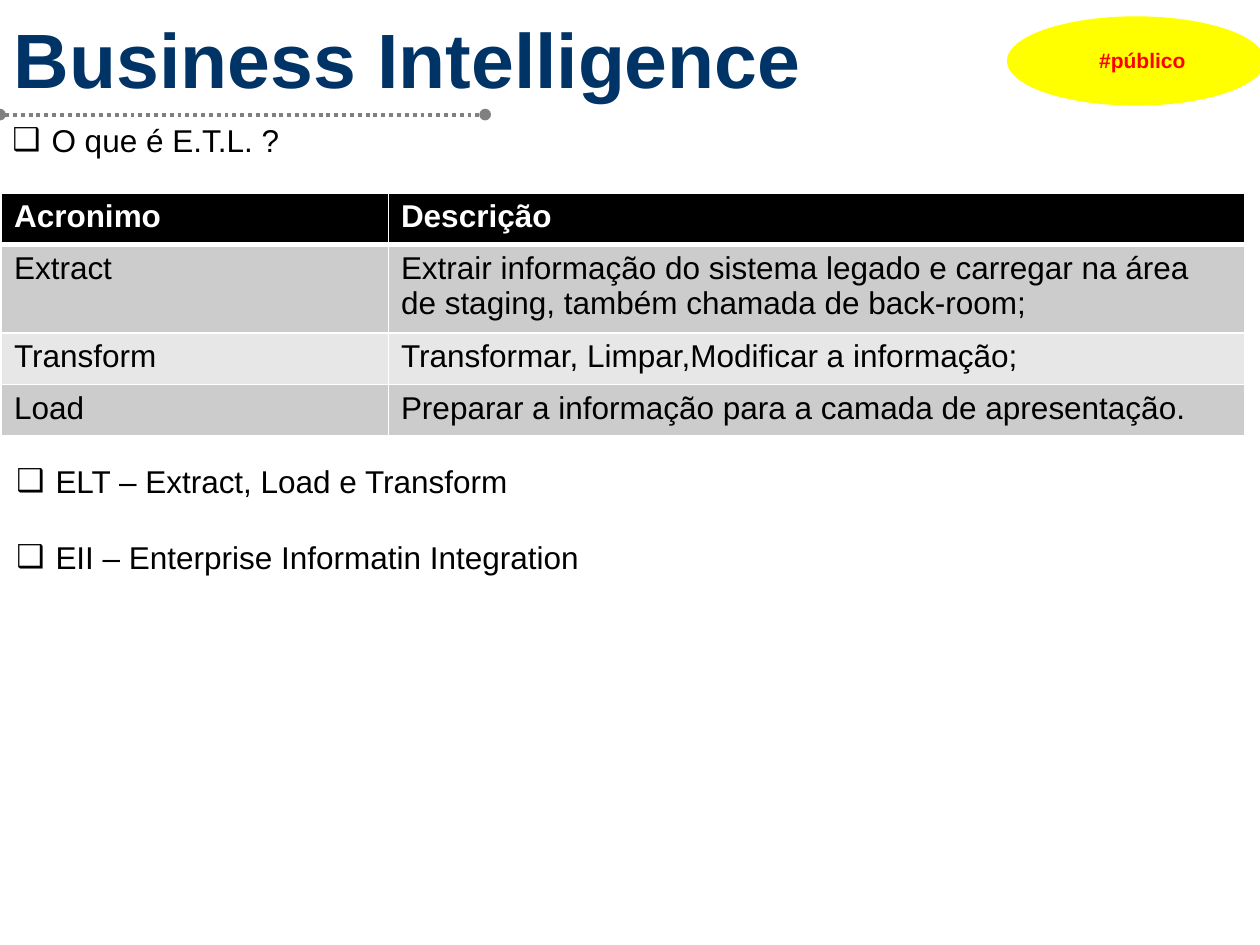
import pptx
import pptx.util
import pptx.dml.color
import pptx.enum.dml
import pptx.enum.shapes
import pptx.enum.text
import pptx.oxml.ns
from lxml import etree

Cm = pptx.util.Cm
Pt = pptx.util.Pt
RGBColor = pptx.dml.color.RGBColor

NAVY = RGBColor(0x00, 0x33, 0x66)
GREY = RGBColor(0x80, 0x80, 0x80)
YELLOW = RGBColor(0xFF, 0xFF, 0x00)
RED = RGBColor(0xFF, 0x00, 0x00)
BLACK = RGBColor(0x00, 0x00, 0x00)
WHITE = RGBColor(0xFF, 0xFF, 0xFF)
DARK_BAND = RGBColor(0xCC, 0xCC, 0xCC)
LIGHT_BAND = RGBColor(0xE7, 0xE7, 0xE7)

FONT = "Arial"
BODY_SIZE = 18

ROWS = [
    ("Acronimo", "Descrição"),
    ("Extract", "Extrair informação do sistema legado e carregar na área de "
                "staging, também chamada de back-room;"),
    ("Transform", "Transformar, Limpar,Modificar a informação;"),
    ("Load", "Preparar a informação para a camada de apresentação."),
]
COLUMN_WIDTHS = (7.8, 17.27)
ROW_HEIGHTS = (1.04, 1.76, 1.04, 1.04)


def add_child(parent, tag, **attributes):
    return etree.SubElement(parent, pptx.oxml.ns.qn(tag), attributes)


def add_span(para, text, size=BODY_SIZE, color=BLACK, bold=False):
    span = para.add_run()
    span.text = text
    span.font.name = FONT
    span.font.size = Pt(size)
    span.font.bold = bold
    span.font.color.rgb = color


def add_box(shapes, left, top, width, height):
    box = shapes.add_textbox(Cm(left), Cm(top), Cm(width), Cm(height))
    box.text_frame.word_wrap = True
    return box.text_frame


def add_title(page, text):
    frame = add_box(page.shapes, 0.03, 0, 25.37, 2.31)
    frame.vertical_anchor = pptx.enum.text.MSO_ANCHOR.MIDDLE
    add_span(frame.paragraphs[0], text, 44, NAVY, True)


def add_dotted_rule(page, top, length):
    rule = page.shapes.add_connector(
        pptx.enum.shapes.MSO_CONNECTOR.STRAIGHT,
        Cm(0), Cm(top), Cm(length), Cm(top))
    rule.line.color.rgb = GREY
    rule.line.width = Pt(2.25)
    rule.line.dash_style = pptx.enum.dml.MSO_LINE.ROUND_DOT
    properties = rule.line._get_or_add_ln()
    for end in ("a:headEnd", "a:tailEnd"):
        add_child(properties, end, type="oval")
    add_child(rule._element.spPr, "a:effectLst")


def add_badge(page, text):
    group = page.shapes.add_group_shape()
    ellipse = group.shapes.add_shape(
        pptx.enum.shapes.MSO_SHAPE.OVAL,
        Cm(20.3), Cm(0.33), Cm(5.2), Cm(1.8))
    ellipse.shadow.inherit = False
    ellipse.fill.solid()
    ellipse.fill.fore_color.rgb = YELLOW
    ellipse.line.fill.background()
    para = add_box(group.shapes, 20.4, 0.74, 5.26, 0.81).paragraphs[0]
    para.alignment = pptx.enum.text.PP_ALIGN.CENTER
    para.line_spacing = 1.2
    add_span(para, text, 12, RED, True)


def add_bullets(page, left, top, width, height, items):
    frame = add_box(page.shapes, left, top, width, height)
    for index, item in enumerate(items):
        para = frame.add_paragraph() if index else frame.paragraphs[0]
        properties = para._p.get_or_add_pPr()
        indent = Cm(0.79)
        properties.set("marL", str(indent))
        properties.set("indent", str(-indent))
        add_child(properties, "a:buFont", typeface=FONT)
        add_child(properties, "a:buChar", char="❑")
        if index:
            para.space_before = Pt(21.6)
        add_span(para, item)


def set_borders(cell, bottom_width):
    properties = cell._tc.get_or_add_tcPr()
    widths = {"a:lnL": 1, "a:lnR": 1, "a:lnT": 1, "a:lnB": bottom_width}
    for tag, width in widths.items():
        border = add_child(properties, tag, w=str(Pt(width)))
        add_child(add_child(border, "a:solidFill"), "a:srgbClr", val=str(WHITE))


def add_glossary(page):
    table = page.shapes.add_table(
        len(ROWS), len(COLUMN_WIDTHS), Cm(0.03), Cm(3.89),
        Cm(sum(COLUMN_WIDTHS)), Cm(sum(ROW_HEIGHTS))).table
    for column, width in zip(table.columns, COLUMN_WIDTHS):
        column.width = Cm(width)
    for index, (row, height, texts) in enumerate(
            zip(table.rows, ROW_HEIGHTS, ROWS)):
        row.height = Cm(height)
        header = index == 0
        band = DARK_BAND if index % 2 else LIGHT_BAND
        for cell, text in zip(row.cells, texts):
            set_borders(cell, 3 if header else 1)
            cell.fill.solid()
            cell.fill.fore_color.rgb = BLACK if header else band
            add_span(cell.text_frame.paragraphs[0], text,
                     color=WHITE if header else BLACK, bold=header)


def main():
    deck = pptx.Presentation()
    deck.slide_width, deck.slide_height = Cm(25.4), Cm(19.05)
    page = deck.slides.add_slide(deck.slide_layouts[6])
    add_title(page, "Business Intelligence")
    add_dotted_rule(page, 2.31, 9.78)
    add_badge(page, "#público")
    add_bullets(page, 0, 2.31, 25.4, 1.02, ["O que é E.T.L. ?"])
    add_glossary(page)
    add_bullets(page, 0.08, 9.19, 14.4, 2.57, [
        "ELT – Extract, Load e Transform",
        "EII – Enterprise Informatin Integration",
    ])
    deck.save("out.pptx")


if __name__ == "__main__":
    main()
